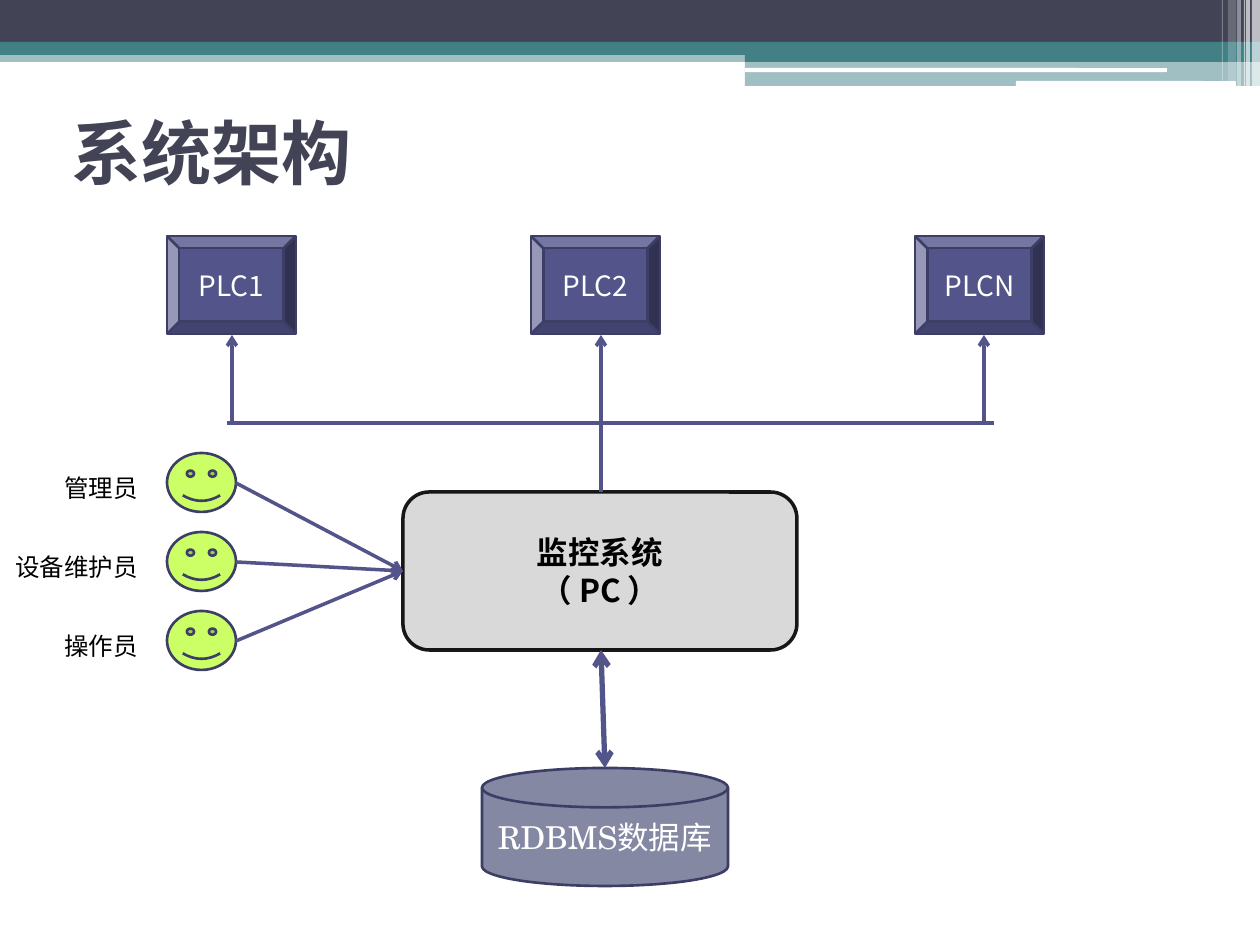
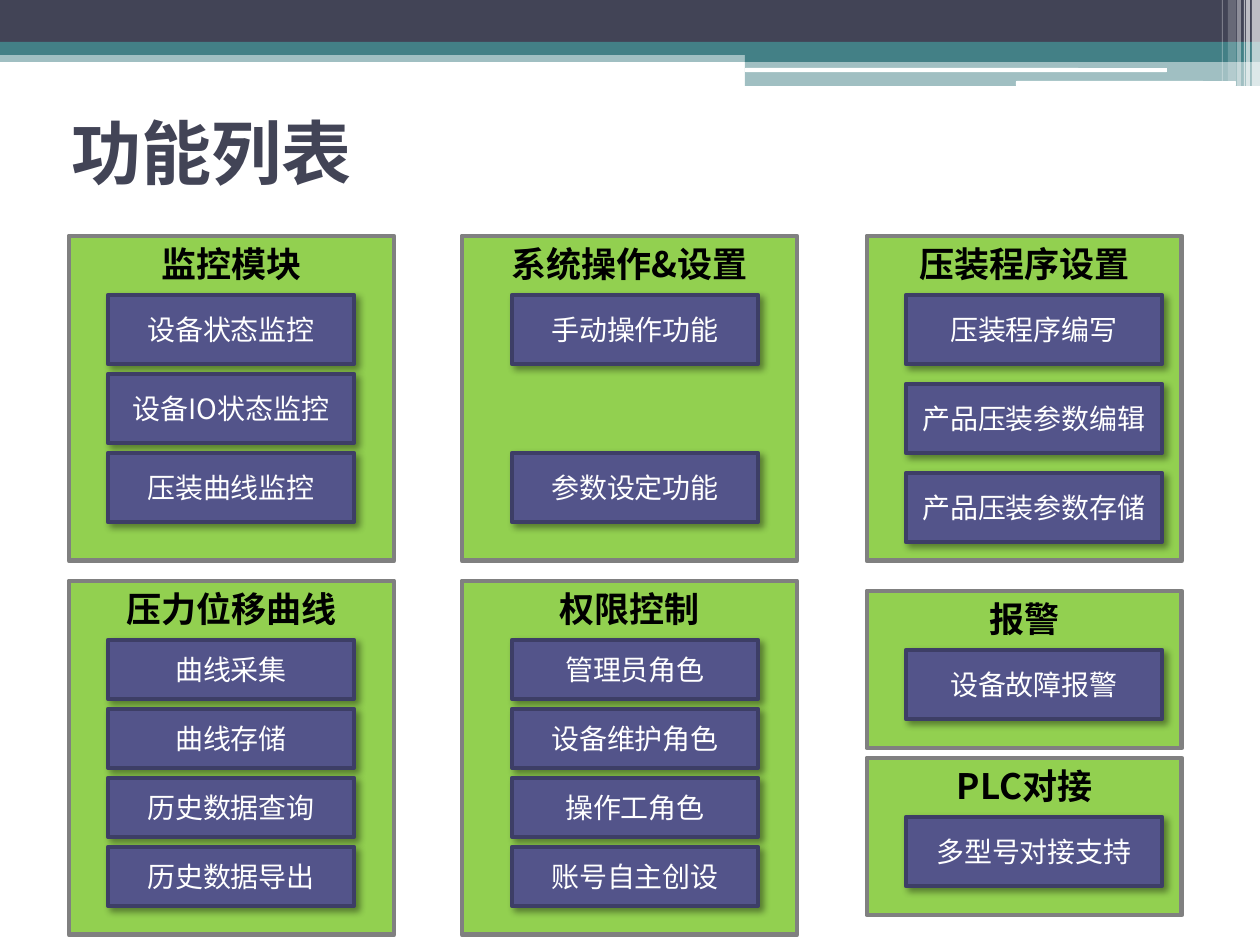
"""Build two slides on a press monitoring system: its architecture and its functions."""
from lxml.etree import SubElement
from pptx import Presentation
from pptx.dml.color import RGBColor
from pptx.enum.shapes import MSO_CONNECTOR as LINK, MSO_SHAPE as KIND
from pptx.enum.text import MSO_ANCHOR as ANCHOR, PP_ALIGN as ALIGN
from pptx.oxml.ns import qn
from pptx.util import Pt

PX = 914400 // 126
SANS = "Noto Sans CJK SC"
SERIF = "TeX Gyre Schola"
WHITE = RGBColor(0xFF, 0xFF, 0xFF)
BLACK = RGBColor(0x00, 0x00, 0x00)
NAVY = RGBColor(0x42, 0x44, 0x56)
TEAL = RGBColor(0x43, 0x80, 0x86)
VIOLET = RGBColor(0x53, 0x54, 0x8A)
EDGE = RGBColor(0x3D, 0x3E, 0x66)
SLATE = RGBColor(0x85, 0x88, 0xA2)
SILVER = RGBColor(0xD9, 0xD9, 0xD9)
GRAY = RGBColor(0x80, 0x80, 0x80)
LIME = RGBColor(0xCC, 0xFF, 0x66)
GREEN = RGBColor(0x92, 0xD0, 0x50)


def box(slide, kind, rect, fill, edge=None, width=0, alpha=100):
    shape = slide.shapes.add_shape(kind, *[n * PX for n in rect])
    shape.shadow.inherit = False
    shape.fill.solid()
    shape.fill.fore_color.rgb = fill
    if alpha < 100:
        tint = shape._element.spPr.find(".//" + qn("a:srgbClr"))
        SubElement(tint, qn("a:alpha"), val=str(alpha * 1000))
    if edge is None:
        shape.line.fill.background()
    else:
        shape.line.color.rgb = edge
        shape.line.width = Pt(width)
    return shape


def write(shape, text, size, color, bold=False, font=SANS,
          align=ALIGN.CENTER, anchor=ANCHOR.MIDDLE, pad=(6, 6)):
    frame = shape.text_frame
    frame.text = text
    frame.word_wrap = True
    frame.vertical_anchor = anchor
    frame.margin_left, frame.margin_right = [n * PX for n in pad]
    for para in frame.paragraphs:
        para.alignment = align
        for run in para.runs:
            run.font.size = Pt(size)
            run.font.bold = bold
            run.font.color.rgb = color
            run.font.name = font
            SubElement(run._r.get_or_add_rPr(), qn("a:ea"), typeface=SANS)


deck = Presentation()
deck.slide_width = 1260 * PX
deck.slide_height = 945 * PX

BANDS = [
    (KIND.RECTANGLE, (0, 50, 1260, 12), TEAL, 50),
    (KIND.RECTANGLE, (0, 0, 1260, 42), NAVY, 100),
    (KIND.RECTANGLE, (0, 42, 1260, 13), TEAL, 100),
    (KIND.RECTANGLE, (745, 49, 515, 13), TEAL, 100),
    (KIND.RECTANGLE, (745, 61, 515, 25), TEAL, 50),
    (KIND.ROUNDED_RECTANGLE, (745, 68, 422, 4), WHITE, 100),
    (KIND.ROUNDED_RECTANGLE, (1016, 81, 220, 5), WHITE, 100),
]
STRIPES = [(1252, 8, 86, 65), (1246, 4, 86, 65), (1244, 1, 86, 60),
           (1237, 4, 86, 40), (1228, 8, 81, 20), (1222, 1, 81, 30)]

pages = []
for title in ("系统架构", "功能列表"):
    slide = deck.slides.add_slide(deck.slide_layouts[6])
    for kind, rect, fill, alpha in BANDS:
        box(slide, kind, rect, fill, alpha=alpha)
    for x, w, h, alpha in STRIPES:
        box(slide, KIND.RECTANGLE, (x, 0, w, h), WHITE, alpha=alpha)
    head = slide.shapes.add_textbox(59 * PX, 78 * PX, 1134 * PX, 147 * PX)
    write(head, title, 40, NAVY, True, align=ALIGN.LEFT, pad=(13, 13))
    pages.append(slide)
plan, list_page = pages

core = box(plan, KIND.ROUNDED_RECTANGLE, (403, 492, 394, 158), SILVER, BLACK, 2)
tint = core.line._ln.find(".//" + qn("a:srgbClr"))
SubElement(tint, qn("a:alpha"), val="90000")
write(core, "监控系统\n（ PC ）", 18, BLACK, True)

store = box(plan, KIND.FLOWCHART_MAGNETIC_DISK, (482, 768, 246, 118), SLATE, EDGE, 1.5)
write(store, "RDBMS数据库", 18, WHITE, font=SERIF)

links = [((601, 650), (605, 768), 3, ("headEnd", "tailEnd")),
         ((227, 423), (994, 423), 2, ()),
         ((601, 423), (601, 492), 2, ())]

for x, stem, name in [(167, 232, "PLC1"), (531, 601, "PLC2"), (915, 984, "PLCN")]:
    unit = box(plan, KIND.BEVEL, (x, 236, 129, 98), VIOLET, EDGE, 1.5)
    write(unit, name, 16, WHITE)
    links.append(((stem, 423), (stem, 335), 2, ("tailEnd",)))

for row, (x, role) in enumerate([(39, "管理员"), (0, "设备维护员"), (29, "操作员")]):
    y = 453 + 79 * row
    box(plan, KIND.SMILEY_FACE, (167, y, 69, 59), LIME, EDGE, 1.5)
    tag = box(plan, KIND.RECTANGLE, (x, y + 10, 157 - x, 49), WHITE)
    write(tag, role, 14, BLACK, align=ALIGN.RIGHT, pad=(0, 19))
    links.append(((236, y + 30), (403, 571), 2, ("tailEnd",)))

for start, end, width, tips in links:
    link = plan.shapes.add_connector(LINK.STRAIGHT, *[n * PX for n in start + end])
    link.line.color.rgb = VIOLET
    link.line.width = Pt(width)
    for tip in tips:
        SubElement(link.line._ln, qn("a:" + tip), type="arrow")
    SubElement(link._element.spPr, qn("a:effectLst"))

COLUMNS = [(69, 325, 108, 246), (462, 335, 512, 246), (867, 315, 906, 256)]
GROUPS = [
    (0, 236, 325, 69, 79, "监控模块", ["设备状态监控", "设备IO状态监控", "压装曲线监控"]),
    (1, 236, 325, 69, 158, "系统操作&设置", ["手动操作功能", "参数设定功能"]),
    (2, 236, 325, 69, 89, "压装程序设置", ["压装程序编写", "产品压装参数编辑", "产品压装参数存储"]),
    (0, 581, 354, 59, 69, "压力位移曲线", ["曲线采集", "曲线存储", "历史数据查询", "历史数据导出"]),
    (1, 581, 354, 59, 69, "权限控制", ["管理员角色", "设备维护角色", "操作工角色", "账号自主创设"]),
    (2, 591, 157, 69, 79, "报警", ["设备故障报警"]),
    (2, 758, 157, 69, 79, "PLC对接", ["多型号对接支持"]),
]
for col, top, high, tall, pitch, name, items in GROUPS:
    x, w, left, wide = COLUMNS[col]
    panel = box(list_page, KIND.RECTANGLE, (x, top, w, high), GREEN, GRAY, 2.75)
    write(panel, name, 20, BLACK, True, anchor=ANCHOR.TOP)
    for row, item in enumerate(items):
        rect = (left, top + 59 + pitch * row, wide, tall)
        card = box(list_page, KIND.RECTANGLE, rect, VIOLET, EDGE, 2.5)
        write(card, item, 16, WHITE)
        glow = card._element.spPr.find(qn("a:effectLst"))
        shade = SubElement(glow, qn("a:outerShdw"), blurRad="50800", dist="38100",
                           dir="2700000", algn="tl", rotWithShape="0")
        tint = SubElement(shade, qn("a:srgbClr"), val="000000")
        SubElement(tint, qn("a:alpha"), val="40000")

deck.save("out.pptx")
